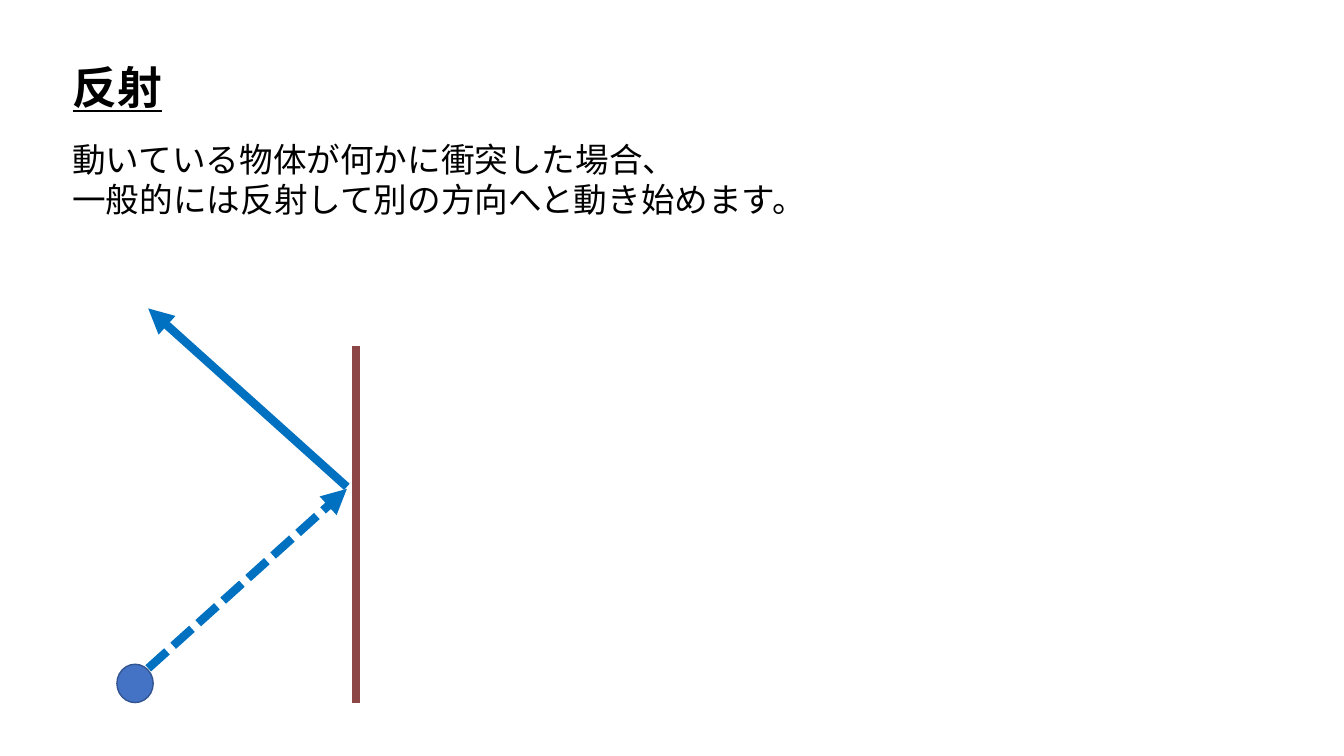
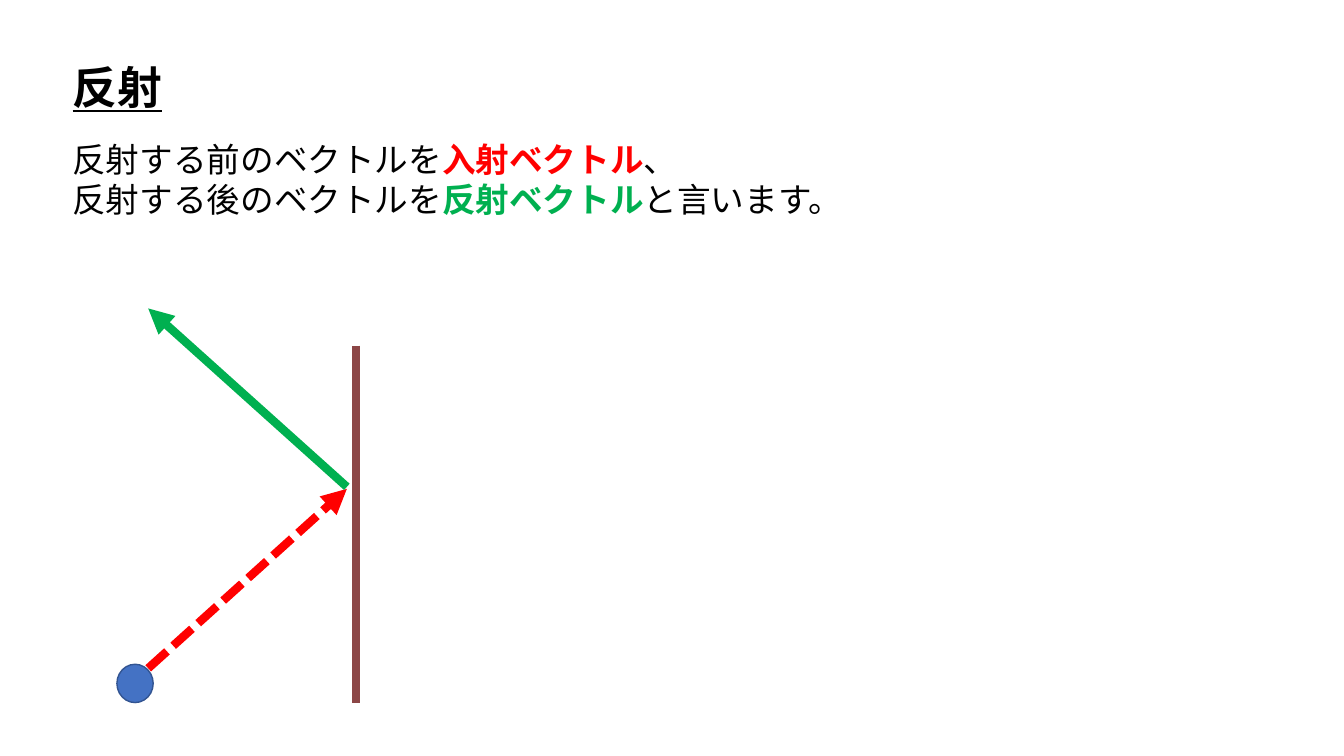
from dataclasses import dataclass

from lxml.etree import SubElement
from pptx import Presentation
from pptx.dml.color import RGBColor
from pptx.enum.dml import MSO_LINE
from pptx.enum.shapes import MSO_CONNECTOR, MSO_SHAPE
from pptx.enum.text import MSO_ANCHOR, MSO_AUTO_SIZE, PP_ALIGN
from pptx.oxml.ns import qn
from pptx.util import Inches, Pt

WIDTH, HEIGHT = Inches(13.33), Inches(7.5)
FONT = "Noto Sans CJK JP"
TITLE = "反射"
COLORS = {
    "text": "000000",
    "ball": "4472C4",
    "ball_edge": "325491",
    "wall": "8C4646",
    "motion": "0070C0",
    "incident": "FF0000",
    "reflected": "00B050",
}


@dataclass(frozen=True)
class Phrase:
    """A piece of a sentence, emphasised when it has its own colour."""

    text: str
    color: str = ""


@dataclass(frozen=True)
class Box:
    """A rectangle in percent of the slide's width and height."""

    left: float
    top: float
    width: float
    height: float

    def emu(self) -> tuple[int, int, int, int]:
        """Return the rectangle in slide units."""
        return (*point(self.left, self.top), *point(self.width, self.height))


@dataclass(frozen=True)
class Stroke:
    """A straight line between two points given in percent of the slide."""

    start: tuple[float, float]
    end: tuple[float, float]
    color: str
    dashed: bool = False
    arrow: bool = True


@dataclass(frozen=True)
class Page:
    """The sentences of a slide and the colours of its two vectors."""

    lines: tuple[tuple[Phrase, ...], ...]
    incident: str
    reflected: str


TITLE_BOX = Box(4.65, 7.2, 8.25, 8.53)
BODY_BOX = Box(4.65, 17.73, 59.56, 12.13)
BALL_BOX = Box(8.7, 87.87, 2.7, 5.07)

PAGES = (
    Page(
        (
            (Phrase("動いている物体が何かに衝突した場合、"),),
            (Phrase("一般的には反射して別の方向へと動き始めます。"),),
        ),
        "motion",
        "motion",
    ),
    Page(
        (
            (Phrase("反射する前のベクトルを"), Phrase("入射ベクトル", "incident"), Phrase("、")),
            (Phrase("反射する後のベクトルを"), Phrase("反射ベクトル", "reflected"), Phrase("と言います。")),
        ),
        "incident",
        "reflected",
    ),
)


def point(x: float, y: float) -> tuple[int, int]:
    """Turn percentages of the slide into slide units."""
    return round(WIDTH * x / 100), round(HEIGHT * y / 100)


def rgb(name: str) -> RGBColor:
    """Look up a named colour."""
    return RGBColor.from_string(COLORS[name])


def write(shape, box: Box, lines: tuple[tuple[Phrase, ...], ...], size: int, heading: bool = False) -> None:
    """Place a text shape and fill it with one paragraph per line."""
    shape.left, shape.top, shape.width, shape.height = box.emu()
    frame = shape.text_frame
    frame.word_wrap = False
    frame.auto_size = MSO_AUTO_SIZE.SHAPE_TO_FIT_TEXT
    frame.vertical_anchor = MSO_ANCHOR.TOP
    for index, phrases in enumerate(lines):
        paragraph = frame.add_paragraph() if index else frame.paragraphs[0]
        paragraph.alignment = PP_ALIGN.LEFT
        font = paragraph.font
        font.name, font.size = FONT, Pt(size)
        font.bold = font.underline = heading
        font.color.rgb = rgb("text")
        SubElement(paragraph._p.pPr.find(qn("a:defRPr")), qn("a:ea"), typeface=FONT)
        for phrase in phrases:
            run = paragraph.add_run()
            run.text = phrase.text
            if phrase.color:
                run.font.bold = True
                run.font.color.rgb = rgb(phrase.color)


def draw_stroke(shapes, stroke: Stroke) -> None:
    """Draw a thick line, dashed or with an arrowhead as asked."""
    connector = shapes.add_connector(MSO_CONNECTOR.STRAIGHT, *point(*stroke.start), *point(*stroke.end))
    line = connector.line
    line.width = Pt(6)
    line.color.rgb = rgb(stroke.color)
    if stroke.dashed:
        line.dash_style = MSO_LINE.SQUARE_DOT
    properties = connector._element.spPr
    if stroke.arrow:
        SubElement(properties.find(qn("a:ln")), qn("a:tailEnd"), type="triangle")
    SubElement(properties, qn("a:effectLst"))


def draw_collision(slide, page: Page) -> None:
    """Draw the ball, the wall and the vectors before and after the hit."""
    shapes = slide.shapes.add_group_shape().shapes
    ball = shapes.add_shape(MSO_SHAPE.OVAL, *BALL_BOX.emu())
    ball.shadow.inherit = False
    ball.fill.solid()
    ball.fill.fore_color.rgb = rgb("ball")
    ball.line.color.rgb = rgb("ball_edge")
    ball.line.width = Pt(1)
    for stroke in (
        Stroke((26.48, 45.73), (26.48, 92.93), "wall", arrow=False),
        Stroke((11.03, 88.4), (25.81, 64.67), page.incident, dashed=True),
        Stroke((25.81, 64.4), (11.03, 40.8), page.reflected),
    ):
        draw_stroke(shapes, stroke)


def main() -> None:
    """Build and save the presentation."""
    deck = Presentation()
    deck.slide_width, deck.slide_height = WIDTH, HEIGHT
    title_only = deck.slide_layouts.get_by_name("Title Only")
    for page in PAGES:
        slide = deck.slides.add_slide(title_only)
        write(slide.shapes.title, TITLE_BOX, ((Phrase(TITLE),),), 32, heading=True)
        write(slide.shapes.add_textbox(*BODY_BOX.emu()), BODY_BOX, page.lines, 24)
        draw_collision(slide, page)
    deck.save("out.pptx")


if __name__ == "__main__":
    main()
